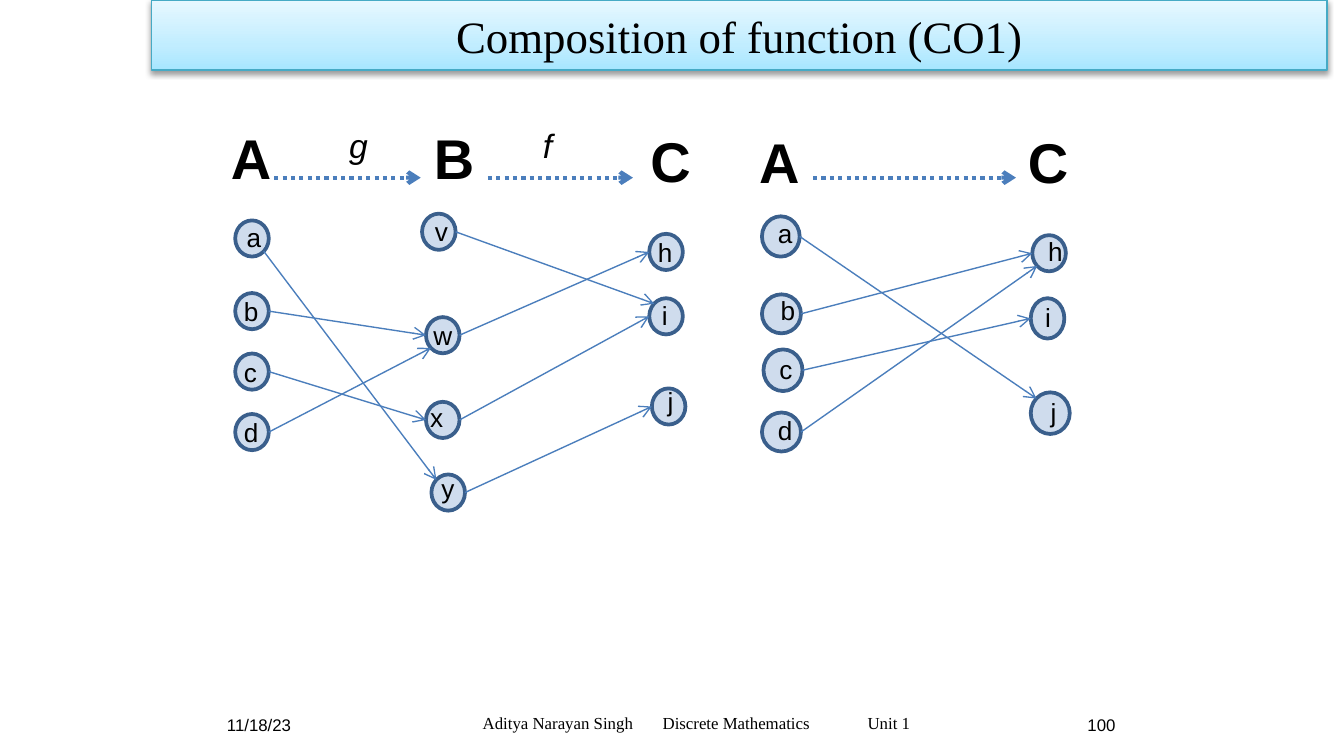
from lxml.etree import SubElement
from pptx import Presentation
from pptx.dml.color import RGBColor
from pptx.enum.dml import MSO_LINE
from pptx.enum.shapes import MSO_CONNECTOR, MSO_SHAPE
from pptx.enum.text import MSO_ANCHOR, MSO_AUTO_SIZE, PP_ALIGN
from pptx.oxml import parse_xml
from pptx.oxml.ns import nsdecls, qn
from pptx.util import Pt

COLORS = {
    "text": "000000", "arrow": "4B7EBC", "node": "4F81BD", "ring": "3A5F8C",
    "title_line": "46AAC5", "title_low": "A7E6FF", "title_mid": "C1EDFF", "title_high": "E7F8FF",
}
FONTS = {
    "title": {"name": "Times New Roman", "size": Pt(24)},
    "set": {"name": "Arial", "size": Pt(30), "bold": True},
    "function": {"name": "Arial", "size": Pt(18), "italic": True},
    "element": {"name": "Arial", "size": Pt(14)},
    "date": {"name": "Arial", "size": Pt(9)},
    "footer": {"name": "Times New Roman", "size": Pt(9)},
}
TITLE = "Composition of function (CO1)"
FOOTER = ["Aditya Narayan Singh", "Discrete Mathematics", "Unit 1"]
FOOTER_TABS = [96.4, 206.2]
HEADINGS = [
    ("A", "set", 116.6, 62.6, 40.3, 43.9), ("B", "set", 225.4, 62.6, 40.3, 43.9),
    ("C", "set", 341.3, 64.1, 40.3, 43.9), ("A", "set", 399.6, 64.8, 38.2, 43.9),
    ("C", "set", 543.6, 64.8, 33.1, 43.9),
    ("g", "function", 180, 63.4, 20.9, 28.8), ("f", "function", 283.7, 63.4, 20.9, 28.8),
]
HEADING_ARROWS = [(146.9, 225.4), (261.4, 339.1), (435.6, 544.3)]
HEADING_ARROW_TOP = 95.2
SMALL = (18, 19.4)
MAPPINGS = [
    {
        "nodes": {
            "a": (126, 118.1, *SMALL, 127.4, 115.2, 12.2),
            "b": (126, 157, *SMALL, 126, 154.8, 12.2),
            "c": (126, 189.4, *SMALL, 126, 187.2, 12.2),
            "d": (126, 221.8, *SMALL, 126, 219.6, 12.2),
            "v": (226.1, 114.5, *SMALL, 226.8, 111.6, 13.7),
            "w": (228.2, 169.9, *SMALL, 227.5, 167.8, 12.2),
            "x": (228.2, 215.3, *SMALL, 230.4, 211.7, 7.2),
            "y": (231.1, 254.2, *SMALL, 231.8, 249.8, 12.2),
            "h": (347.8, 125.3, *SMALL, 347.8, 123.1, 12.2),
            "i": (347.8, 159.8, *SMALL, 349.9, 157, 12.2),
            "j": (349.2, 208.1, *SMALL, 351.4, 203, 13.7),
        },
        "arrows": [
            ("a", "y", "lower right", "upper left"), ("b", "w", "right", "left"),
            ("c", "x", "right", "left"), ("d", "w", "right", "lower left"),
            ("v", "i", "right", "upper left"), ("w", "h", "right", "left"),
            ("x", "i", "right", "left"), ("y", "j", "right", "left"),
        ],
    },
    {
        "nodes": {
            "a": (408.2, 115.9, 20.2, 21.6, 409.7, 113, 16.6),
            "b": (408.2, 157.7, 20.9, 20.9, 411.1, 154.1, 16.6),
            "c": (409, 187.2, 20.9, 22.3, 410.4, 185.8, 16.6),
            "d": (408.2, 221, 20.9, 20.9, 409.7, 218.2, 16.6),
            "h": (553, 126, 18, 19.4, 554.4, 122.4, 18.7),
            "i": (552.2, 159.8, 18, 21.6, 553.7, 157.7, 13.7),
            "j": (552.2, 210.2, 20.9, 22.3, 555.8, 208.8, 16.6),
        },
        "arrows": [
            ("a", "j", "right", "upper left"), ("b", "h", "right", "left"),
            ("c", "i", "right", "left"), ("d", "h", "right", "lower left"),
        ],
    },
]
LABEL_HEIGHT = 24.5
SIDES = {
    "left": (0, 0.5), "right": (1, 0.5), "upper left": (0.15, 0.15),
    "lower left": (0.15, 0.85), "lower right": (0.85, 0.85),
}


def color(name):
    return RGBColor.from_string(COLORS[name])


def set_values(target, values):
    for name, value in values.items():
        setattr(target, name, value)


def write(shape, text, style, align=PP_ALIGN.LEFT, tabs=(), **frame_values):
    frame = shape.text_frame
    set_values(frame, {"word_wrap": True, "auto_size": MSO_AUTO_SIZE.NONE, **frame_values})
    frame.text = text
    paragraph = frame.paragraphs[0]
    paragraph.alignment = align
    if tabs:
        tab_list = SubElement(paragraph._p.get_or_add_pPr(), qn("a:tabLst"))
        for position in tabs:
            SubElement(tab_list, qn("a:tab"), pos=str(Pt(position)), algn="l")
    font = paragraph.runs[0].font
    set_values(font, FONTS[style])
    font.color.rgb = color("text")


def add_text(slide, text, style, left, top, width, height, **options):
    box = slide.shapes.add_textbox(Pt(left), Pt(top), Pt(width), Pt(height))
    write(box, text, style, **options)


def add_arrow(slide, start, end, width=0.75, dash=None):
    points = [Pt(value) for value in (*start, *end)]
    connector = slide.shapes.add_connector(MSO_CONNECTOR.STRAIGHT, *points)
    connector.line.color.rgb = color("arrow")
    set_values(connector.line, {"width": Pt(width), "dash_style": dash})
    SubElement(connector.line._get_or_add_ln(), qn("a:tailEnd"), type="arrow")
    SubElement(connector._element.spPr, qn("a:effectLst"))


def add_node(slide, letter, left, top, width, height, label_left, label_top, label_width):
    node = slide.shapes.add_shape(
        MSO_SHAPE.FLOWCHART_CONNECTOR, Pt(left), Pt(top), Pt(width), Pt(height))
    node.shadow.inherit = False
    node.fill.solid()
    node.fill.fore_color.rgb = color("node")
    SubElement(node._element.spPr.find(".//" + qn("a:srgbClr")), qn("a:alpha"), val="27000")
    node.line.color.rgb = color("ring")
    node.line.width = Pt(2)
    inset = min(7.2, max(0, label_width - 7.5))
    add_text(slide, letter, "element", label_left, label_top, label_width, LABEL_HEIGHT,
             margin_left=Pt(inset), margin_right=0)


def side_point(node, side):
    left, top, width, height = node[:4]
    across, down = SIDES[side]
    return left + across * width, top + down * height


def add_title(slide):
    title = slide.shapes.title
    set_values(title, {"left": Pt(81), "top": Pt(0), "width": Pt(630), "height": Pt(37.6)})
    stops = "".join(
        f'<a:gs pos="{position}"><a:srgbClr val="{COLORS[name]}"/></a:gs>'
        for position, name in ((0, "title_low"), (35000, "title_mid"), (100000, "title_high")))
    properties = title._element.spPr
    properties.append(parse_xml(
        f'<a:prstGeom {nsdecls("a")} prst="rect"><a:avLst/></a:prstGeom>'))
    properties.append(parse_xml(
        f'<a:gradFill {nsdecls("a")} rotWithShape="1"><a:gsLst>{stops}</a:gsLst>'
        '<a:lin ang="16200000" scaled="0"/></a:gradFill>'))
    title.line.color.rgb = color("title_line")
    title.line.width = Pt(0.75)
    properties.append(parse_xml(
        f'<a:effectLst {nsdecls("a")}><a:outerShdw blurRad="{Pt(3.1)}" dist="{Pt(1.6)}" '
        f'dir="5400000" rotWithShape="0"><a:srgbClr val="{COLORS["text"]}">'
        '<a:alpha val="38000"/></a:srgbClr></a:outerShdw></a:effectLst>'))
    write(title, TITLE, "title", PP_ALIGN.CENTER, vertical_anchor=MSO_ANCHOR.MIDDLE)


def main():
    """Build the slide on composing two functions."""
    presentation = Presentation()
    set_values(presentation, {"slide_width": Pt(720), "slide_height": Pt(405)})
    slide = presentation.slides.add_slide(presentation.slide_layouts[5])
    add_title(slide)
    footer_frame = {"vertical_anchor": MSO_ANCHOR.MIDDLE, "margin_left": Pt(5), "margin_right": Pt(5)}
    add_text(slide, "11/18/23", "date", 116.6, 375.1, 126, 25.9, **footer_frame)
    add_text(slide, "100", "date", 476.6, 375.1, 126, 25.9, align=PP_ALIGN.RIGHT, **footer_frame)
    add_text(slide, "\t".join(FOOTER), "footer", 224.6, 374.4, 296.6, 25.9,
             tabs=FOOTER_TABS, **{**footer_frame, "margin_left": Pt(34)})
    for heading in HEADINGS:
        add_text(slide, *heading)
    for start, end in HEADING_ARROWS:
        add_arrow(slide, (start, HEADING_ARROW_TOP), (end, HEADING_ARROW_TOP), 2.25, MSO_LINE.ROUND_DOT)
    for mapping in MAPPINGS:
        nodes = mapping["nodes"]
        for letter, place in nodes.items():
            add_node(slide, letter, *place)
        for source, target, source_side, target_side in mapping["arrows"]:
            add_arrow(slide, side_point(nodes[source], source_side),
                      side_point(nodes[target], target_side))
    presentation.save("out.pptx")


if __name__ == "__main__":
    main()
